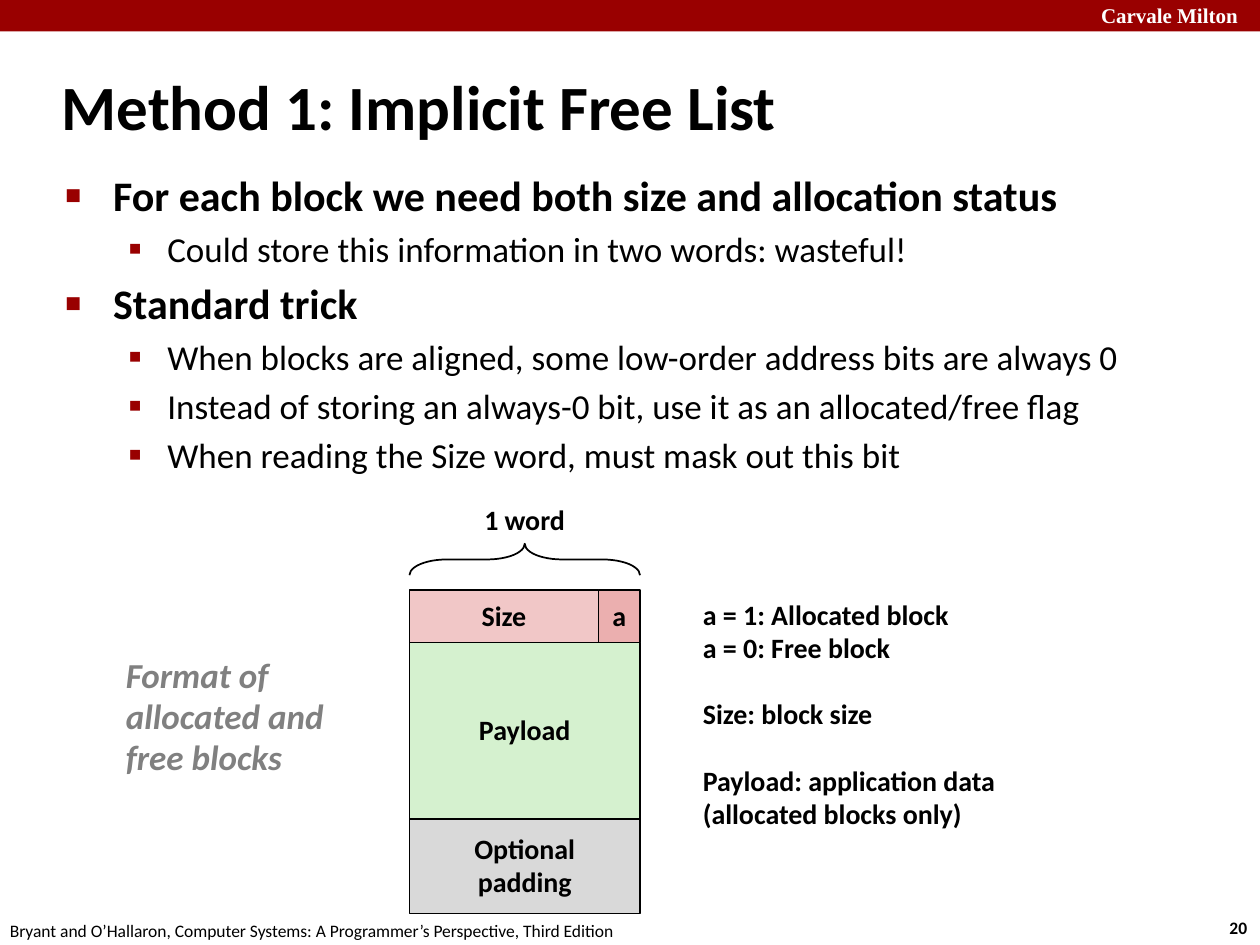
import pptx
import pptx.util
import pptx.dml.color
import pptx.enum.shapes
import pptx.enum.text
import pptx.oxml.ns
from lxml import etree
from dataclasses import dataclass

Inches, Pt = pptx.util.Inches, pptx.util.Pt
SHAPES = pptx.enum.shapes.MSO_SHAPE
ANCHOR = pptx.enum.text.MSO_ANCHOR
ALIGN = pptx.enum.text.PP_ALIGN


@dataclass(frozen=True)
class Theme:
    font: str = "Calibri"
    banner_font: str = "Times New Roman"
    ink: str = "000000"
    paper: str = "FFFFFF"
    accent: str = "990000"
    caption: str = "808080"
    size_field: str = "F1C7C7"
    flag_field: str = "EBAFAF"
    payload_field: str = "D5F1CF"
    padding_field: str = "D9D9D9"
    title_size: int = 36
    caption_size: int = 20
    label_size: int = 16
    banner_size: int = 12
    footer_size: int = 10


THEME = Theme()

# Content
TITLE = "Method 1: Implicit Free List"
BANNER = "Carvale Milton"
FOOTER = "Bryant and O’Hallaron, Computer Systems: A Programmer’s Perspective, Third Edition"
PAGE = "20"
POINTS = [
    (0, "For each block we need both size and allocation status"),
    (1, "Could store this information in two words: wasteful!"),
    (0, "Standard trick"),
    (1, "When blocks are aligned, some low-order address bits are always 0"),
    (1, "Instead of storing an always-0 bit, use it as an allocated/free flag"),
    (1, "When reading the Size word, must mask out this bit"),
]
# Per level: size, bold, left margin, hanging indent, bullet, bullet percent
LEVELS = [(24, True, 0.38, 0.38, "■", 40), (20, False, 0.81, 0.31, "▪", 110)]
CAPTION = "Format of\nallocated and\nfree blocks"
WORD_LABEL = "1 word"
NOTES = [
    "a = 1: Allocated block",
    "a = 0: Free block",
    "Size: block size",
    "Payload: application data",
    "(allocated blocks only)",
]
NOTE_GROUP_STARTS = (2, 3)
# Rows of the block: height, then fields as (text, width, colour)
BLOCK_ROWS = [
    (0.42, [("Size", 1.5, THEME.size_field), ("a", 0.33, THEME.flag_field)]),
    (1.4, [("Payload", 1.83, THEME.payload_field)]),
    (0.75, [("Optional\npadding", 1.83, THEME.padding_field)]),
]
BLOCK_LEFT, BLOCK_TOP, BLOCK_WIDTH = 3.25, 4.68, 1.83
BRACE_DEPTH, BRACE_MIDDLE = 0.25, 4.44


def rgb(value):
    return pptx.dml.color.RGBColor.from_string(value)


def style(paragraph, size, color=THEME.ink, bold=True, italic=False, font=THEME.font):
    for run in paragraph.runs:
        run.font.size = Pt(size)
        run.font.name = font
        run.font.bold = bold
        run.font.italic = italic
        run.font.color.rgb = rgb(color)


def fill_text(frame, text, size, align=ALIGN.LEFT, spacing=None, **look):
    frame.text = text
    for paragraph in frame.paragraphs:
        paragraph.alignment = align
        paragraph.line_spacing = spacing
        style(paragraph, size, **look)


def add_text(slide, place, text, size, wrap=False, **look):
    frame = slide.shapes.add_textbox(*map(Inches, place)).text_frame
    frame.word_wrap = wrap
    fill_text(frame, text, size, **look)
    return frame


def add_box(slide, kind, place, fill=None, line=None):
    box = slide.shapes.add_shape(kind, *map(Inches, place))
    box.shadow.inherit = False
    if fill:
        box.fill.solid()
        box.fill.fore_color.rgb = rgb(fill)
    else:
        box.fill.background()
    if line:
        box.line.color.rgb = rgb(line)
        box.line.width = Pt(1)
    else:
        box.line.fill.background()
    return box


def add_bullet(paragraph, margin, hanging, mark, percent):
    properties = paragraph._p.get_or_add_pPr()
    properties.set("marL", str(Inches(margin)))
    properties.set("indent", str(-Inches(hanging)))
    qn = pptx.oxml.ns.qn
    color = etree.SubElement(properties, qn("a:buClr"))
    etree.SubElement(color, qn("a:srgbClr"), val=THEME.accent)
    etree.SubElement(properties, qn("a:buSzPct"), val=str(percent * 1000))
    etree.SubElement(properties, qn("a:buFont"), typeface=THEME.font)
    etree.SubElement(properties, qn("a:buChar"), char=mark)


def add_points(slide):
    frame = add_text(slide, (0.42, 1.3, 9.03, 2.36),
                     "\n".join(text for _, text in POINTS), LEVELS[0][0], wrap=True)
    for paragraph, (level, _) in zip(frame.paragraphs, POINTS):
        size, bold, *bullet = LEVELS[level]
        paragraph.level = level
        paragraph.space_before = Pt(size * 0.2)
        style(paragraph, size, bold=bold)
        add_bullet(paragraph, *bullet)


def add_block(slide):
    top = BLOCK_TOP
    for height, fields in BLOCK_ROWS:
        left = BLOCK_LEFT
        for text, width, color in fields:
            field = add_box(slide, SHAPES.RECTANGLE, (left, top, width, height),
                            color, THEME.ink)
            field.text_frame.word_wrap = False
            field.text_frame.vertical_anchor = ANCHOR.MIDDLE
            fill_text(field.text_frame, text, THEME.label_size, ALIGN.CENTER, 0.98)
            left += width
        top += height

    # Brace over the block, turned to point up
    center = BLOCK_LEFT + BLOCK_WIDTH / 2
    brace = add_box(slide, SHAPES.RIGHT_BRACE,
                    (center - BRACE_DEPTH / 2, BRACE_MIDDLE - BLOCK_WIDTH / 2,
                     BRACE_DEPTH, BLOCK_WIDTH), line=THEME.ink)
    brace.rotation = 270
    brace.adjustments[0] = 1.19
    add_text(slide, (center - 0.42, 3.95, 0.85, 0.37), WORD_LABEL,
             THEME.label_size, spacing=0.98)


def main():
    deck = pptx.Presentation()
    deck.slide_width, deck.slide_height = Inches(10), Inches(7.5)
    slide = deck.slides.add_slide(deck.slide_layouts[5])

    # Banner and footer
    add_box(slide, SHAPES.RECTANGLE, (0, 0, 10, 0.25), THEME.accent)
    add_text(slide, (8.64, -0.03, 1.43, 0.3), BANNER, THEME.banner_size,
             color=THEME.paper, font=THEME.banner_font)
    add_text(slide, (9.66, 7.23, 0.37, 0.27), PAGE, THEME.footer_size)
    add_text(slide, (-0.02, 7.25, 5.08, 0.27), FOOTER, THEME.footer_size, bold=False)

    # Title and points
    title = slide.shapes.title
    title.left, title.top, title.width, title.height = map(Inches, (0.39, 0.52, 7.21, 0.63))
    title.text_frame.vertical_anchor = ANCHOR.MIDDLE
    fill_text(title.text_frame, TITLE, THEME.title_size)
    add_points(slide)

    # Block diagram with its caption and notes
    add_block(slide)
    add_text(slide, (0.9, 5.15, 1.78, 1.09), CAPTION, THEME.caption_size, wrap=True,
             spacing=0.98, color=THEME.caption, italic=True)
    notes = add_text(slide, (5.48, 4.71, 2.55, 2.22), "\n".join(NOTES),
                     THEME.label_size, wrap=True, spacing=0.98)
    for index in NOTE_GROUP_STARTS:
        notes.paragraphs[index].space_before = Pt(19)

    deck.save("out.pptx")


if __name__ == "__main__":
    main()
